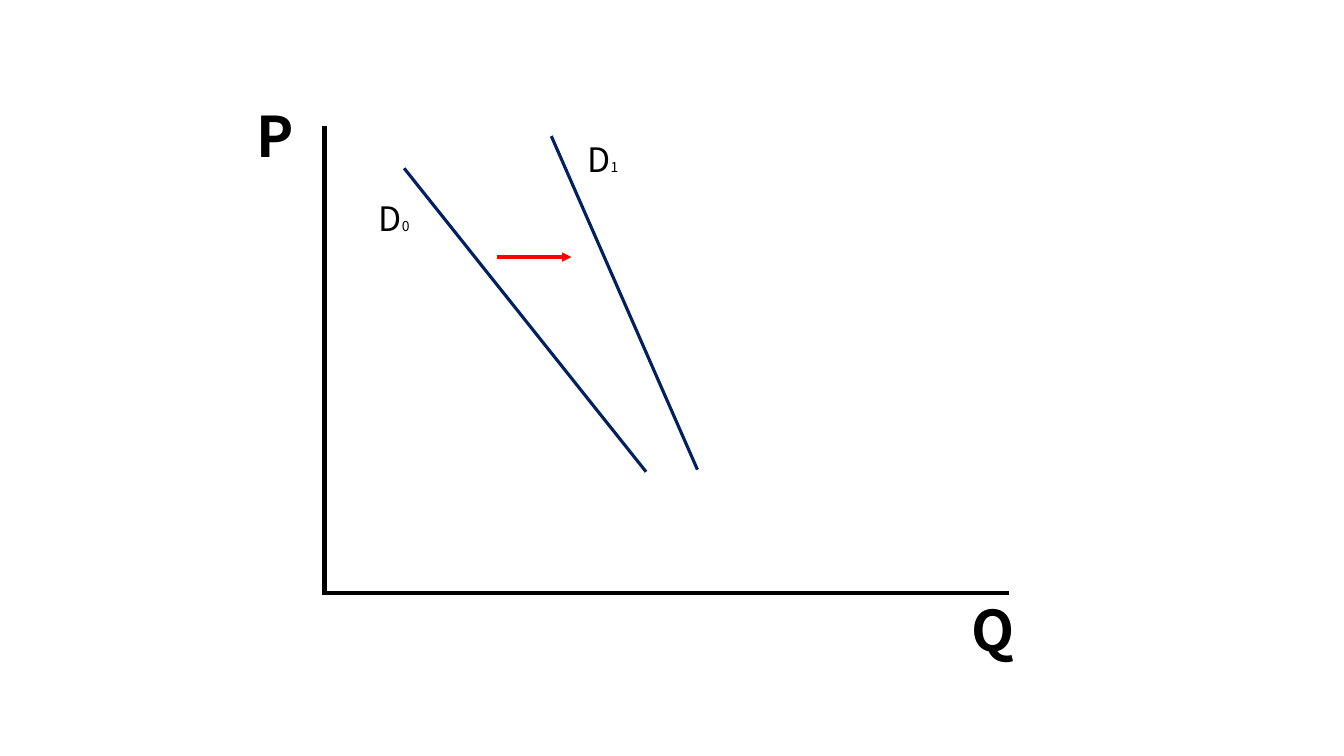
from pptx import Presentation
from pptx.dml.color import RGBColor
from pptx.enum.shapes import MSO_CONNECTOR
from pptx.enum.text import MSO_AUTO_SIZE
from pptx.oxml.ns import qn
from pptx.util import Pt
from lxml.etree import SubElement

FONT = "Noto Sans CJK SC"
BLACK, NAVY, RED = "000000", "002060", "FF0000"


def paint(color, value):
    color.rgb = RGBColor.from_string(value)


def add_line(slide, start, end, color, width, arrow=False):
    line = slide.shapes.add_connector(
        MSO_CONNECTOR.STRAIGHT, *map(Pt, (*start, *end)))
    line.line.width = Pt(width)
    paint(line.line.color, color)
    props = line._element.spPr
    if arrow:
        SubElement(props.find(qn("a:ln")), qn("a:tailEnd"), type="triangle")
    SubElement(props, qn("a:effectLst"))


def add_label(slide, box, runs, bold=False):
    """Write runs of (text, size) in one paragraph."""
    frame = slide.shapes.add_textbox(*map(Pt, box)).text_frame
    frame.word_wrap = True
    frame.auto_size = MSO_AUTO_SIZE.SHAPE_TO_FIT_TEXT
    for text, size in runs:
        run = frame.paragraphs[0].add_run()
        run.text = text
        style = {"name": FONT, "size": Pt(size), "bold": bold}
        for key, value in style.items():
            setattr(run.font, key, value)
        paint(run.font.color, BLACK)


def main():
    deck = Presentation()
    deck.slide_width, deck.slide_height = Pt(960), Pt(540)
    slide = deck.slides.add_slide(deck.slide_layouts[6])

    axes = [((230.4, 423.4), (720.7, 423.4)), ((231.8, 424.8), (231.8, 90))]
    for start, end in axes:
        add_line(slide, start, end, BLACK, 3)

    curves = [((288.7, 120.2), (461.5, 337)), ((393.8, 97.2), (498.2, 335.5))]
    for start, end in curves:
        add_line(slide, start, end, NAVY, 2.25)

    for name, left, top in [("P", 176.4, 69.1), ("Q", 686.9, 421.9)]:
        add_label(slide, (left, top, 44.6, 55.4), [(name, 40)], bold=True)

    for index, left, top in [("0", 263.5, 138.2), ("1", 412.6, 95.8)]:
        add_label(slide, (left, top, 67.7, 36), [("D", 24), (index, 10)])

    add_line(slide, (355, 183.6), (408.2, 183.6), RED, 2.25, arrow=True)
    deck.save("out.pptx")


if __name__ == "__main__":
    main()
